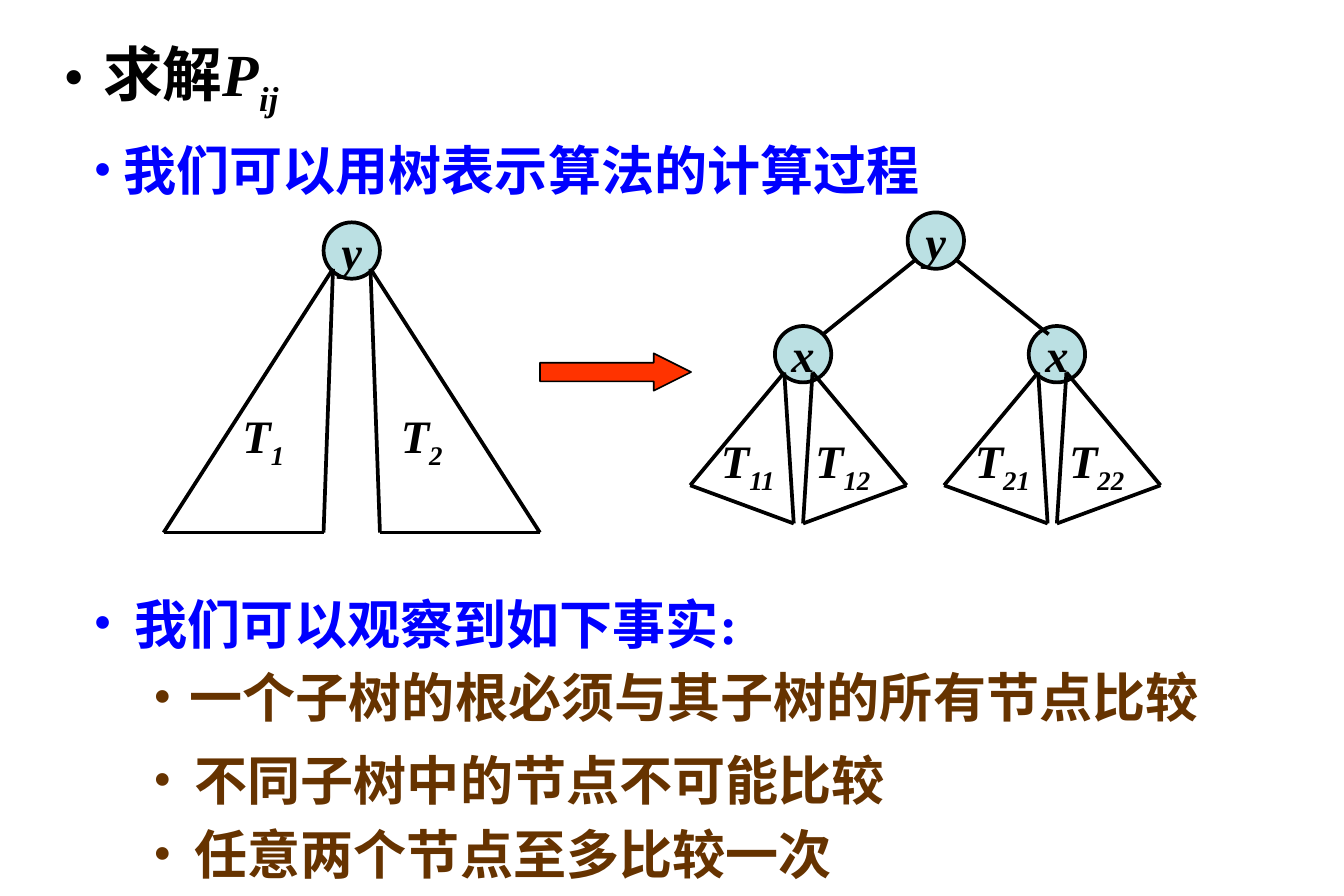
from dataclasses import dataclass

from lxml import etree
from pptx import Presentation
from pptx.dml.color import RGBColor
from pptx.enum.shapes import MSO_CONNECTOR, MSO_SHAPE
from pptx.enum.text import MSO_ANCHOR, MSO_AUTO_SIZE, PP_ALIGN
from pptx.oxml.ns import qn
from pptx.util import Pt

STRAIGHT = MSO_CONNECTOR.STRAIGHT
ELLIPSE = MSO_SHAPE.OVAL
RIGHT_ARROW = MSO_SHAPE.RIGHT_ARROW
TOP, MIDDLE = MSO_ANCHOR.TOP, MSO_ANCHOR.MIDDLE
NO_AUTOFIT = MSO_AUTO_SIZE.NONE
LEFT, CENTER = PP_ALIGN.LEFT, PP_ALIGN.CENTER
CJK, SERIF = "Noto Sans CJK SC", "Times New Roman"
BLACK, BLUE, BROWN, PALE, RED = "000000", "0000FF", "663300", "BBE0E3", "FF3300"
NODE_SIZE = 34


@dataclass
class Item:
    text: str
    level: int
    color: str
    margin: float
    hanging: float
    size: float = 32
    line: float = 44.5
    before: float = 0


@dataclass
class Wings:
    axis: float
    apex: tuple[float, float]
    outer: tuple[float, float]
    inner: tuple[float, float]


@dataclass
class Label:
    index: str
    left: float
    top: float


def rgb(color: str) -> RGBColor:
    return RGBColor.from_string(color)


def style(span, font: str, size: float, color: str, italic: bool = False) -> None:
    span.font.name = font
    span.font.size = Pt(size)
    span.font.bold = True
    span.font.italic = italic
    span.font.color.rgb = rgb(color)
    etree.SubElement(span.font._element, qn("a:ea")).set("typeface", font)


def add_span(para, text: str, size: float, color: str = BLACK,
             italic: bool = True, subscript: bool = False) -> None:
    span = para.add_run()
    span.text = text
    style(span, SERIF, size, color, italic)
    if subscript:
        span.font._element.set("baseline", "-25000")


def place(box, left: float, top: float, width: float, height: float) -> None:
    box.left, box.top, box.width, box.height = map(Pt, (left, top, width, height))
    frame = box.text_frame
    frame.word_wrap = True
    frame.auto_size = NO_AUTOFIT
    frame.vertical_anchor = TOP


def fill_item(para, item: Item) -> None:
    para.text = item.text
    para.level = item.level
    para.alignment = LEFT
    para.line_spacing = Pt(item.line)
    para.space_before = Pt(item.before)
    para.space_after = Pt(0)
    properties = para._p.get_or_add_pPr()
    properties.set("marL", str(Pt(item.margin)))
    properties.set("indent", str(-Pt(item.hanging)))
    bullet_color = etree.SubElement(properties, qn("a:buClr"))
    etree.SubElement(bullet_color, qn("a:srgbClr")).set("val", item.color)
    etree.SubElement(properties, qn("a:buFont")).set("typeface", SERIF)
    etree.SubElement(properties, qn("a:buChar")).set("char", "•")
    style(para.runs[0], CJK, item.size, item.color)


def fill_list(box, items: list[Item]) -> None:
    frame = box.text_frame
    for number, item in enumerate(items):
        fill_item(frame.add_paragraph() if number else frame.paragraphs[0], item)


def add_line(page, start: tuple[float, float], end: tuple[float, float]) -> None:
    line = page.shapes.add_connector(STRAIGHT, *map(Pt, (*start, *end)))
    line.line.color.rgb = rgb(BLACK)
    line.line.width = Pt(2.25)
    etree.SubElement(line._element.spPr, qn("a:effectLst"))


def add_preset(page, kind, left: float, top: float, width: float, height: float,
               fill: str, weight: float):
    shape = page.shapes.add_shape(kind, *map(Pt, (left, top, width, height)))
    shape.shadow.inherit = False
    shape.fill.solid()
    shape.fill.fore_color.rgb = rgb(fill)
    shape.line.color.rgb = rgb(BLACK)
    shape.line.width = Pt(weight)
    return shape


def add_node(page, name: str, x: float, y: float) -> None:
    node = add_preset(page, ELLIPSE, x - NODE_SIZE / 2, y - NODE_SIZE / 2,
                      NODE_SIZE, NODE_SIZE, PALE, 2.25)
    frame = node.text_frame
    frame.word_wrap = False
    frame.vertical_anchor = MIDDLE
    frame.paragraphs[0].alignment = CENTER
    add_span(frame.paragraphs[0], name, 28)


def add_wings(page, wings: Wings) -> None:
    for side in (-1, 1):
        apex, outer, inner = (
            (wings.axis + side * x, y) for x, y in (wings.apex, wings.outer, wings.inner))
        add_line(page, apex, outer)
        add_line(page, apex, inner)
        add_line(page, outer, inner)


def add_label(page, label: Label) -> None:
    box = page.shapes.add_textbox(Pt(label.left), Pt(label.top), Pt(57), Pt(45))
    box.text_frame.word_wrap = True
    para = box.text_frame.paragraphs[0]
    add_span(para, "T", 28)
    add_span(para, label.index, 28, subscript=True)


def main() -> None:
    deck = Presentation()
    deck.slide_width, deck.slide_height = Pt(810), Pt(540)
    page = deck.slides.add_slide(deck.slide_layouts[3])
    title, process, facts = list(page.placeholders)[:3]

    place(title, 31, 17.5, 632, 56)
    fill_list(title, [Item("求解", 0, BLACK, 24, 24, 36, 50)])
    heading = title.text_frame.paragraphs[0]
    add_span(heading, "P", 36)
    add_span(heading, "ij", 36, subscript=True)

    place(process, 31, 73, 632, 51)
    fill_list(process, [Item("我们可以用树表示算法的计算过程", 1, BLUE, 36, 18)])

    place(facts, 31, 346.5, 726, 187)
    fill_list(facts, [
        Item("我们可以观察到如下事实", 1, BLUE, 43, 25),
        Item("一个子树的根必须与其子树的所有节点比较", 2, BROWN, 76, 22),
        Item("不同子树中的节点不可能比较", 2, BROWN, 79, 25, before=5.5),
        Item("任意两个节点至多比较一次", 2, BROWN, 79, 25),
    ])
    add_span(facts.text_frame.paragraphs[0], ":", 32, BLUE, italic=False)

    add_node(page, "y", 212, 151)
    add_wings(page, Wings(212, (11.3, 162), (113.4, 321), (17, 321)))
    add_label(page, Label("1", 139, 242))
    add_label(page, Label("2", 234.5, 242))

    add_node(page, "y", 564, 145)
    for number, center in enumerate((484, 637), start=1):
        axis = center - 2.8
        add_node(page, "x", center, 213.5)
        add_wings(page, Wings(axis, (8.5, 224.5), (65.2, 292.5), (2.8, 315.5)))
        add_label(page, Label(f"{number}1", axis - 53.8, 257))
        add_label(page, Label(f"{number}2", axis + 3, 257))
    add_line(page, (552.5, 156), (496, 201.5))
    add_line(page, (575.5, 156), (632, 201.5))

    arrow = add_preset(page, RIGHT_ARROW, 325.5, 213, 91, 22.5, RED, 1)
    arrow.adjustments[0], arrow.adjustments[1] = 0.5, 1

    deck.save("out.pptx")


if __name__ == "__main__":
    main()
